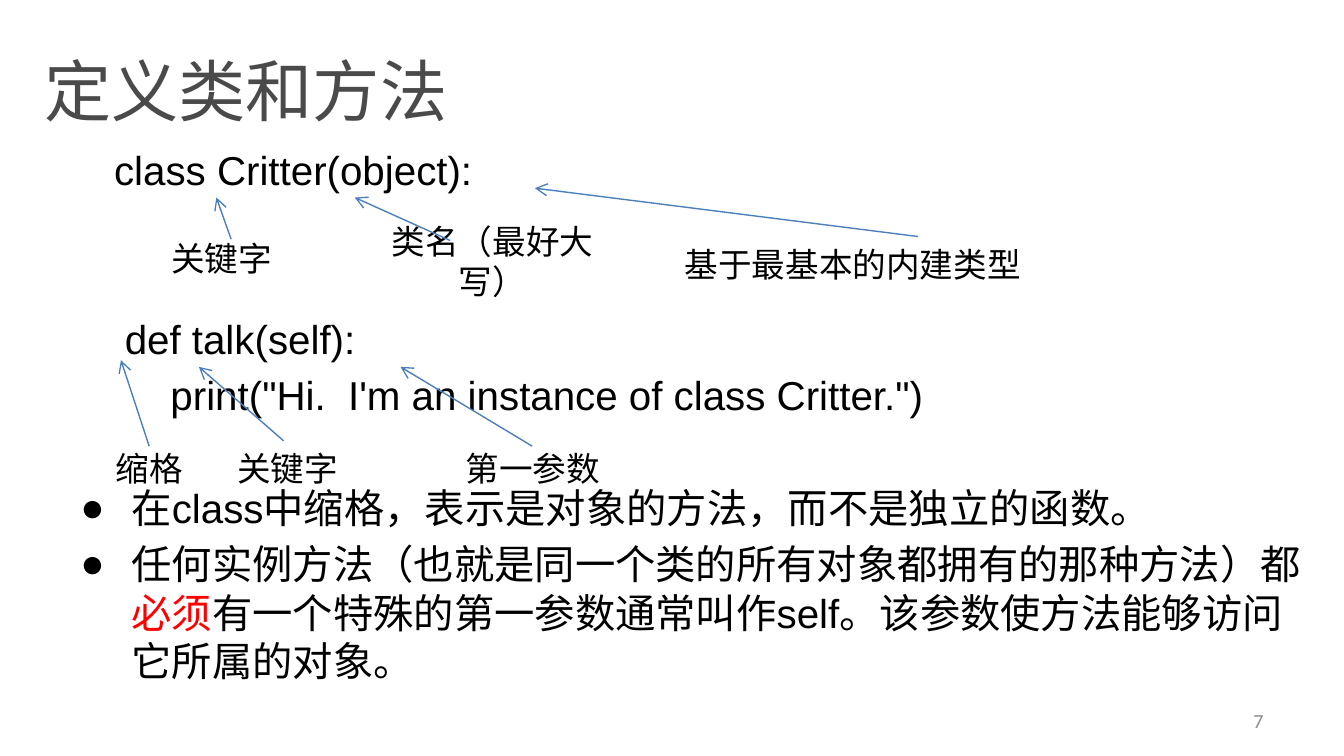
from typing import NamedTuple

from lxml.etree import SubElement
from pptx import Presentation
from pptx.dml.color import RGBColor
from pptx.enum.shapes import MSO_CONNECTOR
from pptx.enum.text import MSO_ANCHOR, PP_ALIGN
from pptx.oxml.ns import qn
from pptx.util import Inches, Pt

BLACK = RGBColor(0, 0, 0)
RED = RGBColor(0xFF, 0, 0)
BLUE = RGBColor(0x4B, 0x7E, 0xBC)
DARK = RGBColor(0x4A, 0x4A, 0x4A)
GRAY = RGBColor(0x8C, 0x8C, 0x8C)
HAN = "Noto Sans CJK SC"
SIZE = 21.6
GAP = 4.3    # space before each body line, in points
LINE = 30.2  # height of one body line with its gap


class Note(NamedTuple):
    """A label box and the arrow that leads from it to the code."""
    text: str
    box: tuple[float, float, float, float]
    start: tuple[float, float]
    end: tuple[float, float]


class Code(NamedTuple):
    text: str
    indent: float
    space: float


NOTES = [
    Note("关键字", (1.14, 1.76, 1.02, 0.32), (1.72, 1.78), (1.61, 1.47)),
    Note("类名（最好大写）", (2.65, 1.76, 2.03, 0.37), (3.35, 1.79), (2.64, 1.47)),
    Note("基于最基本的内建类型", (4.68, 1.78, 3.33, 0.37), (6.83, 1.76), (3.98, 1.4)),
    Note("缩格", (0.6, 3.32, 1.02, 0.32), (1.11, 3.32), (0.9, 2.68)),
    Note("关键字", (1.63, 3.32, 1.02, 0.32), (2.11, 3.28), (1.48, 2.73)),
    Note("第一参数", (3.11, 3.32, 1.71, 0.32), (3.96, 3.32), (2.98, 2.73)),
]
CODES = [
    Code("class Critter(object):", 0.25, 0),
    Code("def talk(self):", 0.33, GAP + 2 * LINE),
    Code("print(\"Hi.  I'm an instance of class Critter.\")", 0.67, GAP),
]
# Each point is a list of (text, colour) parts.
POINTS = [
    [("在class中缩格，表示是对象的方法，而不是独立的函数。", BLACK)],
    [("任何实例方法（也就是同一个类的所有对象都拥有的那种方法）都", BLACK),
     ("必须", RED),
     ("有一个特殊的第一参数通常叫作self。该参数使方法能够访问它所属的对象。", BLACK)],
]


def style(run, size: float, face: str, color: RGBColor) -> None:
    run.font.size = Pt(size)
    run.font.name = face
    run.font.color.rgb = color
    SubElement(run.font._element, qn("a:ea"), typeface=HAN)


def add_box(slide, box: tuple, anchor=MSO_ANCHOR.TOP):
    frame = slide.shapes.add_textbox(*map(Inches, box)).text_frame
    frame.word_wrap = True
    frame.vertical_anchor = anchor
    return frame


def add_text(slide, text: str, box: tuple, size: float, face: str,
             color: RGBColor, align=PP_ALIGN.CENTER, anchor=MSO_ANCHOR.MIDDLE):
    frame = add_box(slide, box, anchor)
    frame.text = text
    line = frame.paragraphs[0]
    line.alignment = align
    style(line.runs[0], size, face, color)
    return line


def add_arrow(slide, start: tuple, end: tuple) -> None:
    arrow = slide.shapes.add_connector(
        MSO_CONNECTOR.STRAIGHT, *map(Inches, start + end))
    arrow.line.color.rgb = BLUE
    arrow.line.width = Pt(0.75)
    SubElement(arrow.line._get_or_add_ln(), qn("a:tailEnd"), type="arrow")
    SubElement(arrow._element.spPr, qn("a:effectLst"))


def indent(line, left: float, first: float = 0) -> None:
    props = line._p.get_or_add_pPr()
    props.set("marL", str(Inches(left)))
    props.set("indent", str(Inches(first)))


def add_body(slide) -> None:
    frame = add_box(slide, (0.5, 1.03, 9.32, 4.57))
    for i, code in enumerate(CODES):
        line = frame.paragraphs[0] if i == 0 else frame.add_paragraph()
        line.text = code.text
        indent(line, code.indent)
        line.space_before = Pt(code.space)
        style(line.runs[0], SIZE, "Arial", BLACK)
    for i, parts in enumerate(POINTS):
        line = frame.add_paragraph()
        indent(line, 0.38, -0.38)
        line.space_before = Pt(GAP + LINE if i == 0 else GAP)
        props = line._p.get_or_add_pPr()
        SubElement(props, qn("a:buFont"), typeface="Arial")
        SubElement(props, qn("a:buChar"), char="●")
        for text, color in parts:
            run = line.add_run()
            run.text = text
            style(run, SIZE, "Arial", color)


def main() -> None:
    deck = Presentation()
    deck.slide_width, deck.slide_height = Inches(10), Inches(10 * 9 / 16)
    slide = deck.slides.add_slide(deck.slide_layouts[6])
    add_body(slide)
    add_text(slide, "7", (7.17, 5.21, 2.33, 0.3), 10.7, "Calibri", GRAY,
             PP_ALIGN.RIGHT)
    title = add_text(slide, "定义类和方法", (0.23, 0.02, 6.13, 1.01), 36, HAN,
                     DARK, PP_ALIGN.LEFT, MSO_ANCHOR.TOP)
    title.line_spacing = 1.5
    for note in NOTES:
        add_text(slide, note.text, note.box, 18, "Calibri", BLACK)
        add_arrow(slide, note.start, note.end)
    deck.save("out.pptx")


if __name__ == "__main__":
    main()
